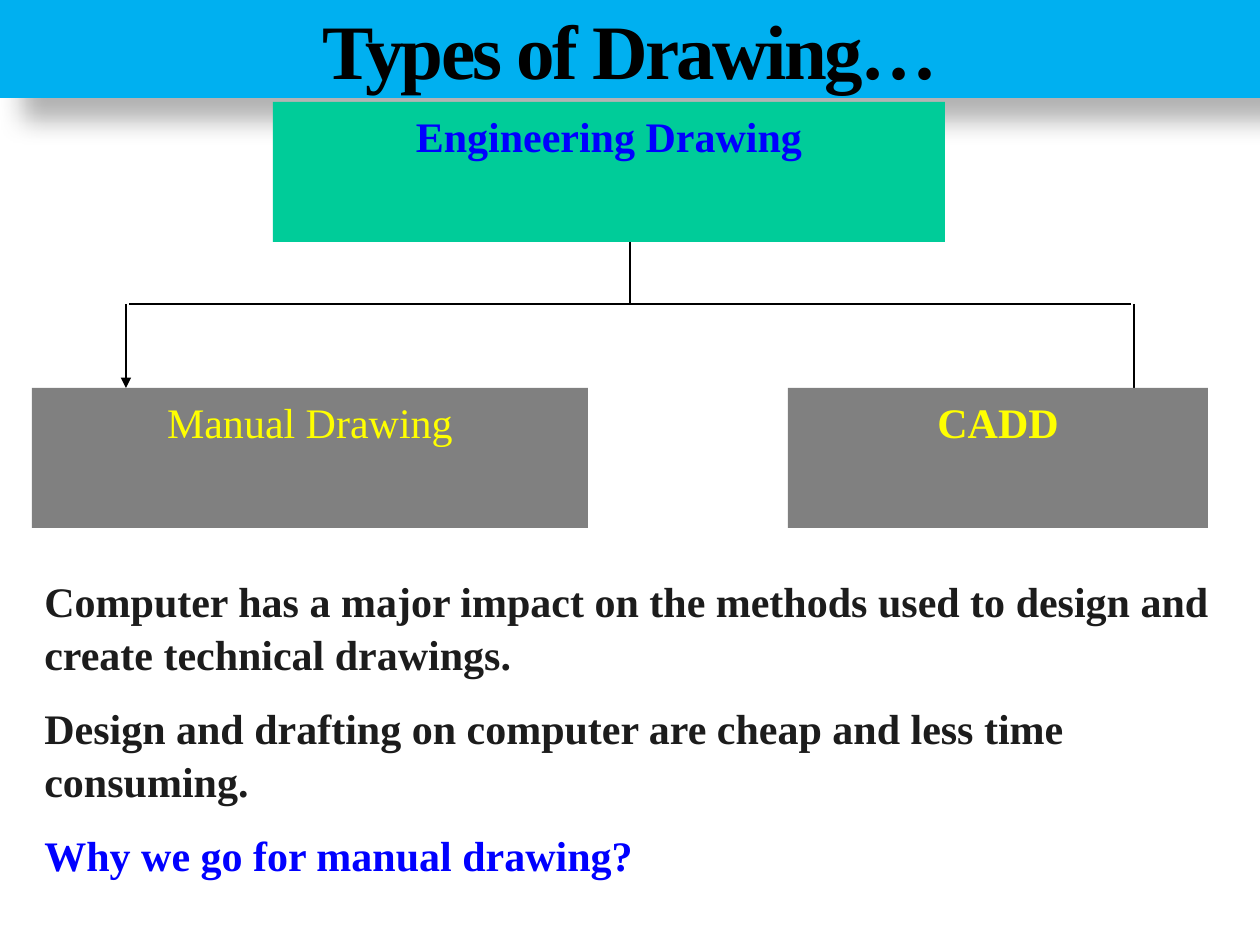
from lxml import etree
from pptx import Presentation, util as u
from pptx.dml.color import RGBColor
from pptx.enum import shapes, text
from pptx.oxml import parse_xml
from pptx.oxml.ns import nsdecls, qn

PX = 914400 // 126
HUES = {"sky": "00B0F0", "green": "00CC99", "gray": "808080", "black": "000000",
        "ink": "1C1C1C", "blue": "0000FF", "yellow": "FFFF00"}


def hue(name):
    return RGBColor.from_string(HUES[name])


def style(par, size, color, bold=True):
    for run in par.runs:
        font = run.font
        font.name, font.size, font.bold = "Times New Roman", u.Pt(size), bold
        font.color.rgb = hue(color)


prs = Presentation()
prs.slide_width, prs.slide_height = u.Inches(10), u.Inches(7.5)
slide = prs.slides.add_slide(prs.slide_layouts[5])

# Title band with a soft shadow
title = slide.shapes.title
title.left, title.top, title.width, title.height = 0, 0, prs.slide_width, 98 * PX
title.fill.solid()
title.fill.fore_color.rgb = hue("sky")
title._element.spPr.append(parse_xml(
    f'<a:effectLst {nsdecls("a")}><a:outerShdw blurRad="190500" dist="228600" '
    'dir="2700000" algn="tl" rotWithShape="0"><a:srgbClr val="000000">'
    '<a:alpha val="30000"/></a:srgbClr></a:outerShdw></a:effectLst>'))
frame = title.text_frame
frame.text = "Types of Drawing…"
frame.auto_size = text.MSO_AUTO_SIZE.NONE
frame.vertical_anchor = text.MSO_ANCHOR.MIDDLE
par = frame.paragraphs[0]
par.alignment = text.PP_ALIGN.CENTER
style(par, 44, "black")
par.runs[0].font._element.set("spc", "-150")

# Body text
body = slide.shapes.add_textbox(32 * PX, 567 * PX, 1228 * PX, 321 * PX)
frame = body.text_frame
frame.word_wrap = True
lines = [
    ("Computer has a major impact on the methods used to design and create "
     "technical drawings.", "ink"),
    ("Design and drafting on computer are cheap and less time consuming.", "ink"),
    ("Why we go for manual drawing?", "blue"),
]
frame.text = "\n".join(line for line, _ in lines)
for i, (par, (_, color)) in enumerate(zip(frame.paragraphs, lines)):
    par.line_spacing = 1.05
    par.space_before = u.Pt(12 if i else 0)
    style(par, 24, color)

# Tree lines: stem, crossbar and two arrows
for x1, y1, x2, y2, arrow in [
    (630, 240, 630, 304, False),
    (129, 304, 1131, 304, False),
    (126, 304, 126, 388, True),
    (1134, 304, 1134, 399, True),
]:
    line = slide.shapes.add_connector(
        shapes.MSO_CONNECTOR.STRAIGHT, x1 * PX, y1 * PX, x2 * PX, y2 * PX)
    line.line.color.rgb = hue("black")
    line.line.width = u.Pt(0.75)
    if arrow:
        etree.SubElement(line.line._get_or_add_ln(), qn("a:tailEnd"), type="triangle")
    etree.SubElement(line._element.spPr, qn("a:effectLst"))

# Tree boxes
for label, x, y, w, fill, color, bold in [
    ("Engineering Drawing", 273, 102, 672, "green", "blue", True),
    ("Manual Drawing", 32, 388, 556, "gray", "yellow", False),
    ("CADD", 788, 388, 420, "gray", "yellow", True),
]:
    box = slide.shapes.add_shape(
        shapes.MSO_SHAPE.RECTANGLE, x * PX, y * PX, w * PX, 140 * PX)
    box.shadow.inherit = False
    box.fill.solid()
    box.fill.fore_color.rgb = hue(fill)
    box.line.fill.background()
    frame = box.text_frame
    frame.text = label
    frame.vertical_anchor = text.MSO_ANCHOR.TOP
    par = frame.paragraphs[0]
    par.alignment = text.PP_ALIGN.CENTER
    par.line_spacing = 1.05
    style(par, 24, color, bold)

prs.save("out.pptx")
